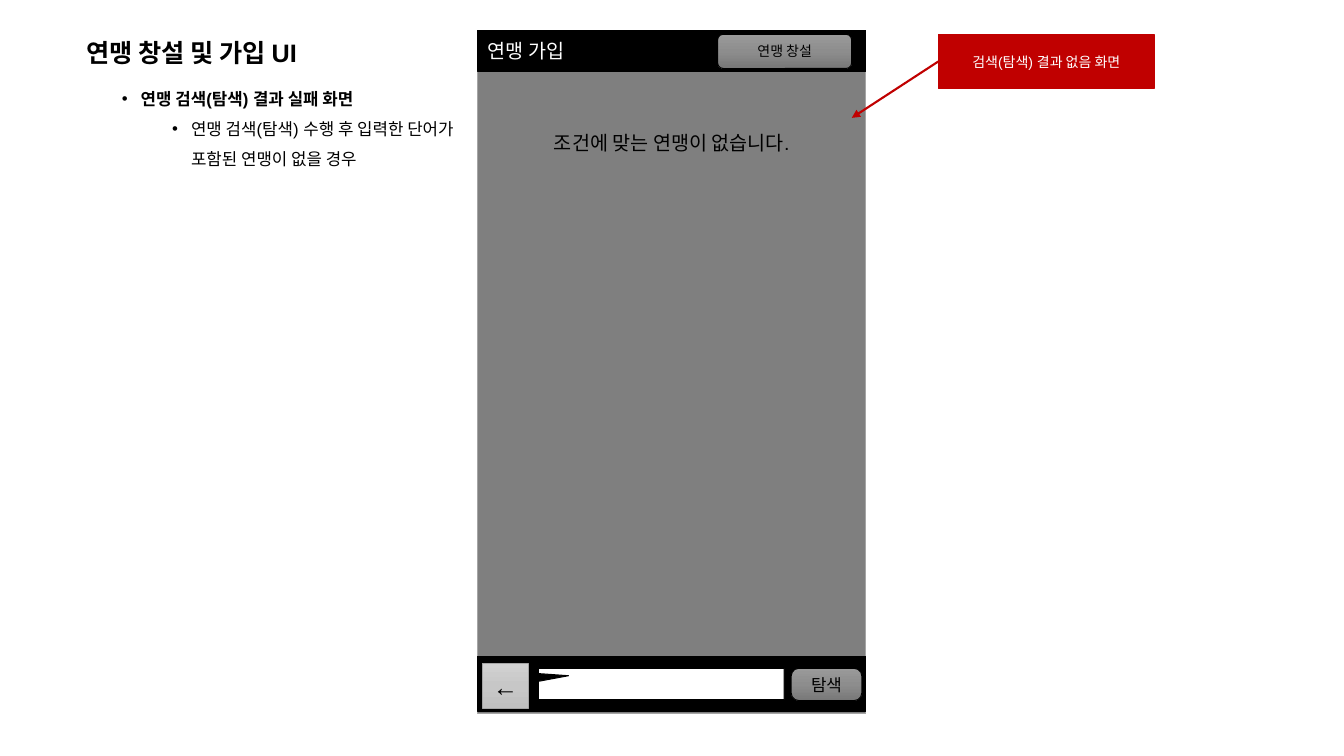
from copy import deepcopy

from lxml.etree import SubElement
from pptx import Presentation
from pptx.dml.color import RGBColor
from pptx.enum.dml import MSO_LINE
from pptx.enum.shapes import MSO_CONNECTOR, MSO_SHAPE
from pptx.enum.text import MSO_ANCHOR, PP_ALIGN
from pptx.oxml.ns import qn
from pptx.util import Pt

COLOURS = {
    "black": "000000",
    "white": "FFFFFF",
    "screen": "7F7F7F",
    "edge": "A5A5A5",
    "red": "C00000",
}
LIGHT_FADE = ("D1D1D1", "C7C7C7", "C0C0C0")
DARK_FADE = ("9A9A9A", "8D8D8D", "787878")


class WireframePage:
    """Draws the parts of a screen wireframe on one page."""

    def __init__(self, deck, font="Arial"):
        self.page = deck.slides.add_slide(deck.slide_layouts[6])
        self.font = font

    def colour(self, name):
        return RGBColor.from_string(COLOURS.get(name, name))

    def fade(self, shape, stops):
        shape.fill.gradient()
        shape.fill.gradient_angle = 270
        stop_list = shape._element.spPr.find(qn("a:gradFill")).find(qn("a:gsLst"))
        stop_list.insert(1, deepcopy(stop_list[0]))
        for index, (stop, colour) in enumerate(zip(shape.fill.gradient_stops, stops)):
            stop.position = index / 2
            stop.color.rgb = self.colour(colour)

    def shape(self, place, fill, edge="black", kind=MSO_SHAPE.RECTANGLE,
              adjust=(), width=0.75):
        shape = self.page.shapes.add_shape(kind, *map(Pt, place))
        shape.shadow.inherit = False
        for index, value in enumerate(adjust):
            shape.adjustments[index] = value
        if isinstance(fill, tuple):
            self.fade(shape, fill)
        else:
            shape.fill.solid()
            shape.fill.fore_color.rgb = self.colour(fill)
        shape.line.color.rgb = self.colour(edge)
        shape.line.width = Pt(width)
        return shape

    def text_box(self, place):
        box = self.page.shapes.add_textbox(*map(Pt, place))
        box.text_frame.word_wrap = True
        return box

    def span(self, para, text, size, colour="black", bold=False):
        span = para.add_run()
        span.text = text
        span.font.name = self.font
        span.font.size = Pt(size)
        span.font.bold = bold
        span.font.color.rgb = self.colour(colour)

    def label(self, shape, text, size, colour="black", align=PP_ALIGN.CENTER,
              anchor=MSO_ANCHOR.MIDDLE):
        frame = shape.text_frame
        frame.word_wrap = True
        frame.vertical_anchor = anchor
        para = frame.paragraphs[0]
        para.alignment = align
        self.span(para, text, size, colour)

    def bullet(self, para, text, size, level, indent, bold):
        para.level = level
        settings = para._p.get_or_add_pPr()
        settings.set("marL", str(Pt(indent)))
        settings.set("indent", str(-Pt(13.5)))
        tint = SubElement(settings, qn("a:buClr"))
        SubElement(tint, qn("a:srgbClr"), val=COLOURS["black"])
        SubElement(settings, qn("a:buFont"), typeface=self.font)
        SubElement(settings, qn("a:buChar"), char="•")
        para.line_spacing = 1.5
        self.span(para, text, size, bold=bold)

    def arrow(self, start, end, colour, width):
        arrow = self.page.shapes.add_connector(
            MSO_CONNECTOR.STRAIGHT, *map(Pt, start + end))
        arrow.line.color.rgb = self.colour(colour)
        arrow.line.width = Pt(width)
        arrow.line.dash_style = MSO_LINE.SOLID
        line = arrow._element.spPr.find(qn("a:ln"))
        SubElement(line, qn("a:tailEnd"), type="triangle")
        SubElement(arrow._element.spPr, qn("a:effectLst"))


def main():
    deck = Presentation()
    deck.slide_width, deck.slide_height = Pt(960), Pt(540)
    page = WireframePage(deck)
    left, width = 341.3, 277.2

    screen = page.shape((left, 21.6, width, 488.2), "screen", "edge")
    screen.text_frame.margin_top = Pt(72)
    page.label(screen, "조건에 맞는 연맹이 없습니다.", 14, anchor=MSO_ANCHOR.TOP)

    header = page.shape((left, 21.6, width, 29.5), "black")
    page.label(header, "연맹 가입", 14, "white", PP_ALIGN.LEFT)
    page.shape((left, 468.7, width, 39.6), "black")

    back = page.shape((344.9, 473.8, 32.4, 32.4), LIGHT_FADE, "edge")
    page.label(back, "←", 18)
    page.shape((384.5, 477.4, 175.7, 22.3), "white",
               kind=MSO_SHAPE.RECTANGULAR_CALLOUT, adjust=(-0.377, -0.264))

    buttons = (
        ((512.6, 24.5, 95.8, 24.5), 0.167, "연맹 창설", 10),
        ((565.2, 477.4, 50.4, 23), 0.23, "탐색", 12),
    )
    for place, corner, text, size in buttons:
        button = page.shape(place, DARK_FADE, kind=MSO_SHAPE.ROUNDED_RECTANGLE,
                            adjust=(corner,))
        page.label(button, text, size)

    title = page.text_box((54.7, 23, 186.5, 28.8))
    page.span(title.text_frame.paragraphs[0], "연맹 창설 및 가입 UI", 18, bold=True)

    notes = page.text_box((79.9, 52.6, 254.9, 72.7)).text_frame
    page.bullet(notes.paragraphs[0], "연맹 검색(탐색) 결과 실패 화면", 12, 0, 13.5, True)
    page.bullet(notes.add_paragraph(),
                "연맹 검색(탐색) 수행 후 입력한 단어가 포함된 연맹이 없을 경우",
                12, 1, 49.5, False)

    callout = page.shape((670.3, 24.5, 154.1, 38.9), "red", "red", width=1)
    page.label(callout, "검색(탐색) 결과 없음 화면", 10, "white")
    page.arrow((670.3, 43.9), (608.4, 84.2), "red", 1.5)

    deck.save("out.pptx")


if __name__ == "__main__":
    main()
